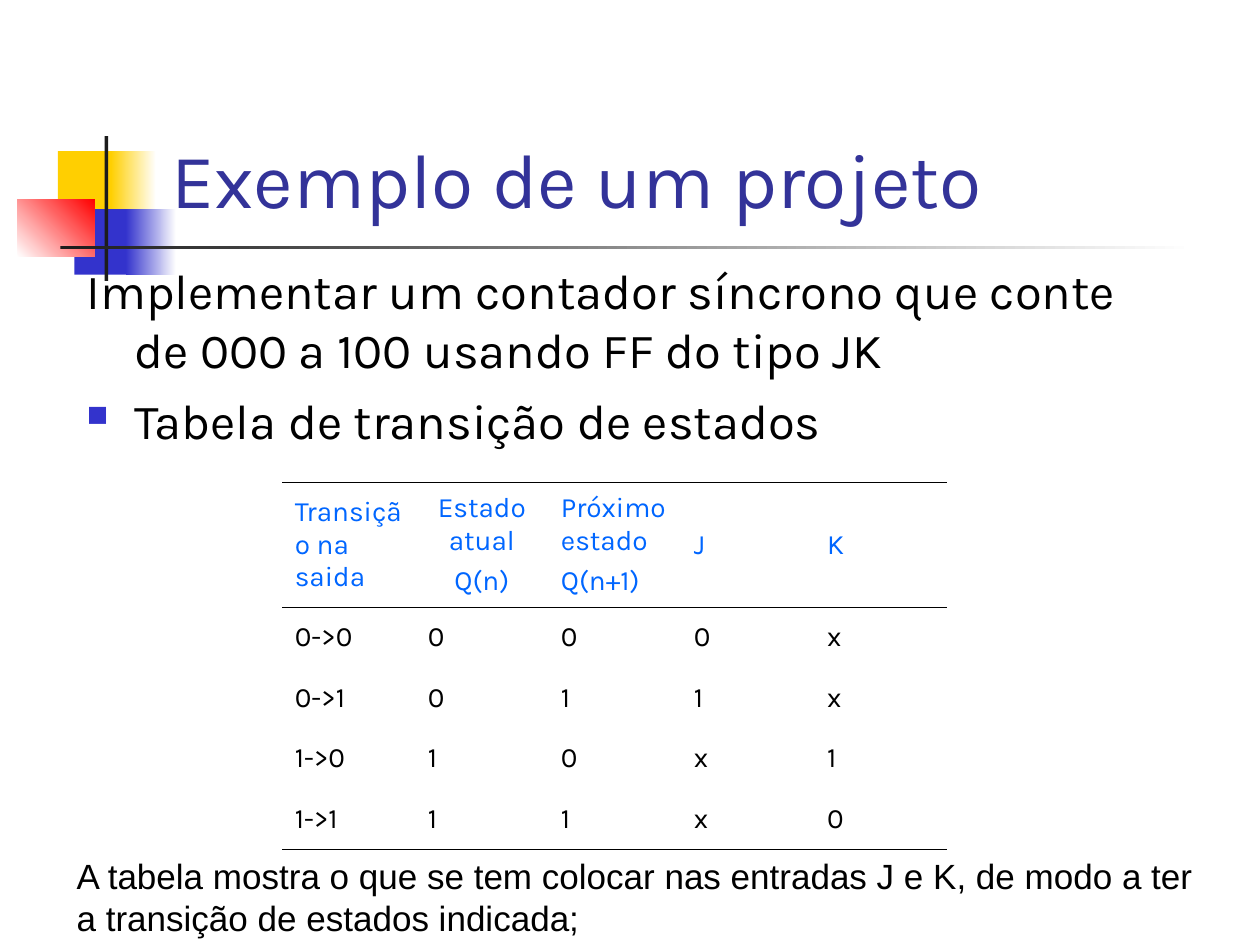
from typing import NamedTuple, Optional

from lxml import etree
from pptx import Presentation
from pptx import util as u
from pptx.dml.color import RGBColor
from pptx.enum import shapes, text
from pptx.oxml import ns

COLORS = {
    "yellow": "FFCF01", "blue": "3333CC", "red": "FF0000", "white": "FFFFFF",
    "bar": "1C1C1C", "title": "333399", "header": "0066FF", "black": "000000",
}
FONT = "Karla"
UNIT = 0.1  # side of a grid square, in inches
COLUMNS, ROWS = 100, 75


class Box(NamedTuple):
    """Place and size in grid columns and rows."""
    column: float
    row: float
    width: float
    height: float

    def lengths(self) -> list:
        return [u.Inches(value * UNIT) for value in self]


class Block(NamedTuple):
    box: Box
    color: str
    fade_to: Optional[str] = None
    angle: float = 0


class Line(NamedTuple):
    content: str
    before: float = 0
    hanging: bool = False
    bullet: bool = False


DECORATION = [
    Block(Box(4.6, 12, 4.8, 5.2), "yellow"),
    Block(Box(8.8, 12, 3.6, 5.2), "yellow", "white"),
    Block(Box(5.9, 16.6, 4.6, 5.2), "blue"),
    Block(Box(10, 16.6, 4, 5.2), "blue", "white"),
    Block(Box(1.4, 15.8, 6.1, 4.6), "white", "red", 45),
    Block(Box(8.3, 10.8, 0.3, 11.5), "bar"),
    Block(Box(4.8, 19.5, 90, 0.3), "bar", "white"),
]

HEADER = ["Transição na saida", "Estado atual\nQ(n)", "Próximo estado\nQ(n+1)", "J", "K"]
TRANSITIONS = [
    ["0->0", "0", "0", "0", "x"],
    ["0->1", "0", "1", "1", "x"],
    ["1->0", "1", "0", "x", "1"],
    ["1->1", "1", "1", "x", "0"],
]
TABLE_BOX = Box(22.4, 38.3, 52.8, 29.1)
HEADER_HEIGHT = 9.9


def rgb(name: str) -> RGBColor:
    return RGBColor.from_string(COLORS[name])


def add_child(parent, tag: str, **attributes: str):
    return etree.SubElement(parent, ns.qn(tag), attributes)


def draw_block(slide, block: Block) -> None:
    shape = slide.shapes.add_shape(shapes.MSO_SHAPE.RECTANGLE, *block.box.lengths())
    shape.shadow.inherit = False
    shape.line.fill.background()
    if block.fade_to is None:
        shape.fill.solid()
        shape.fill.fore_color.rgb = rgb(block.color)
        return
    shape.fill.gradient()
    shape.fill.gradient_angle = block.angle
    for stop, color in zip(shape.fill.gradient_stops, (block.color, block.fade_to)):
        stop.color.rgb = rgb(color)


def write_lines(frame, lines: list[Line], *, size: float, color: str = "black",
                font: str = FONT, align=text.PP_ALIGN.LEFT) -> None:
    for index, line in enumerate(lines):
        paragraph = frame.paragraphs[0] if index == 0 else frame.add_paragraph()
        properties = paragraph._p.get_or_add_pPr()
        if line.hanging:
            indent = u.Inches(0.38)
            properties.set("marL", str(indent))
            properties.set("indent", str(-indent))
        if line.bullet:
            bullet_color = add_child(properties, "a:buClr")
            add_child(bullet_color, "a:srgbClr", val=COLORS["blue"])
            add_child(properties, "a:buSzPct", val="60000")
            add_child(properties, "a:buChar", char="■")
        paragraph.alignment = align
        paragraph.space_before = u.Pt(line.before)
        run = paragraph.add_run()
        run.text = line.content
        run.font.size = u.Pt(size)
        run.font.name = font
        run.font.color.rgb = rgb(color)


def add_text(slide, box: Box, lines: list[Line], *,
             anchor=text.MSO_ANCHOR.TOP, **text_format) -> None:
    frame = slide.shapes.add_textbox(*box.lengths()).text_frame
    frame.word_wrap = True
    frame.vertical_anchor = anchor
    write_lines(frame, lines, **text_format)


def set_borders(cell, visible: set[str]) -> None:
    properties = cell._tc.get_or_add_tcPr()
    for side in "LRTB":
        border = add_child(properties, f"a:ln{side}", w=str(u.Pt(0.45)))
        if side in visible:
            fill = add_child(border, "a:solidFill")
            add_child(fill, "a:srgbClr", val=COLORS["black"])
        else:
            add_child(border, "a:noFill")


def draw_transition_table(slide) -> None:
    rows = [HEADER, *TRANSITIONS]
    table = slide.shapes.add_table(len(rows), len(HEADER), *TABLE_BOX.lengths()).table
    table.first_row = table.horz_banding = False
    for column in table.columns:
        column.width = u.Inches(TABLE_BOX.width / len(HEADER) * UNIT)
    body_height = (TABLE_BOX.height - HEADER_HEIGHT) / len(TRANSITIONS)
    # Rules above and below the header and under the last row
    borders = {0: {"T", "B"}, 1: {"T"}, len(TRANSITIONS): {"B"}}
    for row_index, values in enumerate(rows):
        is_header = row_index == 0
        height = HEADER_HEIGHT if is_header else body_height
        table.rows[row_index].height = u.Inches(height * UNIT)
        for column_index, value in enumerate(values):
            cell = table.cell(row_index, column_index)
            cell.vertical_anchor = text.MSO_ANCHOR.MIDDLE
            set_borders(cell, borders.get(row_index, set()))
            cell.fill.background()
            centered = is_header and column_index == 1
            lines = [Line(part, before=4 if number else 0)
                     for number, part in enumerate(value.split("\n"))]
            write_lines(cell.text_frame, lines, size=16,
                        color="header" if is_header else "black",
                        align=text.PP_ALIGN.CENTER if centered else text.PP_ALIGN.LEFT)


def main() -> None:
    presentation = Presentation()
    presentation.slide_width = u.Inches(COLUMNS * UNIT)
    presentation.slide_height = u.Inches(ROWS * UNIT)
    slide = presentation.slides.add_slide(presentation.slide_layouts[6])

    # Coloured squares and bars
    for block in DECORATION:
        draw_block(slide, block)

    # Title and body
    add_text(slide, Box(12.6, 2.3, 85.2, 16), [Line("Exemplo de um projeto")],
             anchor=text.MSO_ANCHOR.BOTTOM, size=44, color="title")
    add_text(slide, Box(5.9, 20.2, 85, 45), [
        Line("Implementar um contador síncrono que conte de 000 a 100 usando FF do tipo JK",
             hanging=True),
        Line("Tabela de transição de estados", before=7, hanging=True, bullet=True),
    ], size=28)

    # Table and its explanation
    draw_transition_table(slide)
    add_text(slide, Box(5.1, 67.3, 92.9, 7.7), [
        Line("A tabela mostra o que se tem colocar nas entradas J e K, "
             "de modo a ter a transição de estados indicada;"),
    ], size=20, font="Arial")

    presentation.save("out.pptx")


if __name__ == "__main__":
    main()
